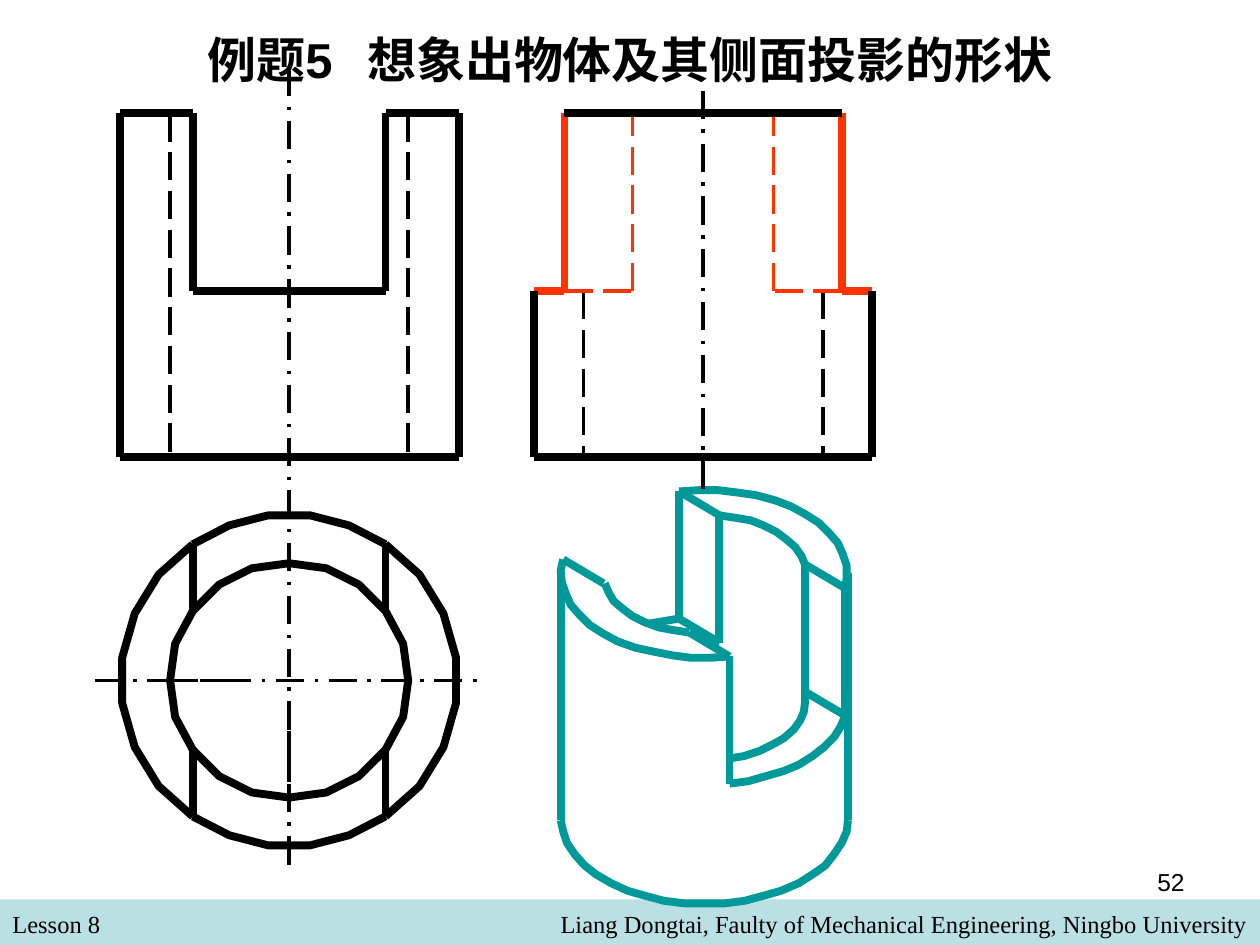
import dataclasses

import lxml.etree
import pptx
import pptx.dml.color
import pptx.enum.dml
import pptx.enum.shapes
import pptx.enum.text
import pptx.oxml.ns
import pptx.util

Cm = pptx.util.Cm
Align = pptx.enum.text.PP_ALIGN
Anchor = pptx.enum.text.MSO_ANCHOR
Dash = pptx.enum.dml.MSO_LINE


@dataclasses.dataclass(frozen=True)
class Theme:
    ink: str = "000000"
    red: str = "FF3300"
    teal: str = "009999"
    band: str = "BBE0E3"
    title_size: int = 28
    small_size: int = 14
    edge: float = 4.5
    hairline: float = 0
    sans: str = "Arial"
    serif: str = "Times New Roman"


def rgb(color):
    return pptx.dml.color.RGBColor.from_string(color)


def unit(value):
    """Drawing units are 2.54 cm long."""
    return Cm(value * 2.54)


class Drawing:
    def __init__(self, prs, theme):
        self.theme = theme
        self.s = prs.slides.add_slide(prs.slide_layouts[6])

    def band(self, x, y, w, h):
        sp = self.s.shapes.add_shape(pptx.enum.shapes.MSO_SHAPE.RECTANGLE,
                                     Cm(x), Cm(y), Cm(w), Cm(h))
        sp.shadow.inherit = False
        sp.fill.solid()
        sp.fill.fore_color.rgb = rgb(self.theme.band)
        sp.line.fill.background()

    def text(self, x, y, w, h, words, size, font, align=Align.LEFT,
             anchor=Anchor.TOP, bold=False):
        sp = self.s.shapes.add_textbox(Cm(x), Cm(y), Cm(w), Cm(h))
        tf = sp.text_frame
        tf.word_wrap = True
        tf.vertical_anchor = anchor
        p = tf.paragraphs[0]
        p.alignment = align
        p.font.size = pptx.util.Pt(size)
        p.font.name = font
        p.font.bold = bold
        p.font.color.rgb = rgb(self.theme.ink)
        for word in words:
            p.add_run().text = word
        return p

    def stroke(self, sp, color, width, dash=None):
        sp.line.color.rgb = rgb(color)
        sp.line.width = pptx.util.Pt(width)
        if dash:
            sp.line.dash_style = dash

    def line(self, x1, y1, x2, y2, color=None, dash=None):
        """A thick edge, or a hairline when a dash style is given."""
        sp = self.s.shapes.add_connector(
            pptx.enum.shapes.MSO_CONNECTOR.STRAIGHT,
            unit(x1), unit(y1), unit(x2), unit(y2))
        width = self.theme.hairline if dash else self.theme.edge
        self.stroke(sp, color or self.theme.ink, width, dash)
        lxml.etree.SubElement(sp._element.spPr,
                              pptx.oxml.ns.qn("a:effectLst"))

    def curve(self, points, color=None):
        points = [(unit(x), unit(y)) for x, y in points]
        builder = self.s.shapes.build_freeform(*points[0])
        builder.add_line_segments(points[1:], close=False)
        sp = builder.convert_to_shape()
        sp.shadow.inherit = False
        sp.fill.background()
        self.stroke(sp, color or self.theme.ink, self.theme.edge)


TOP, STEP, BASE = 0.9, 2.31, 3.63
FRONT_AXIS, SIDE_AXIS, PLAN_AXIS = 2.295, 5.58, 5.4

# Half or quarter outlines of the plan view; the rest follows by symmetry
OUTER_SIDE = [(3.62, 5.58), (3.52, 5.93), (3.33, 6.24), (3.06, 6.48)]
OUTER_END = [(2.46, 6.71), (2.77, 6.63), (3.06, 6.48)]
INNER_SIDE = [(3.24, 5.4), (3.2, 5.69), (3.06, 5.95)]
INNER_END = [(2.295, 6.33), (2.59, 6.29), (2.85, 6.16), (3.06, 5.95)]

SOLID_CURVES = [
    # bottom rim
    [(4.45, 6.51), (4.47, 6.6), (4.5, 6.69), (4.56, 6.78), (4.64, 6.87),
     (4.73, 6.94), (4.85, 7.01), (4.98, 7.07), (5.12, 7.11), (5.27, 7.15),
     (5.43, 7.17), (5.59, 7.17), (5.75, 7.17), (5.91, 7.15), (6.06, 7.11),
     (6.2, 7.07), (6.34, 7.01), (6.45, 6.94), (6.55, 6.87), (6.62, 6.78),
     (6.68, 6.69), (6.72, 6.6), (6.73, 6.51)],
    # top rim, back
    [(6.71, 4.67), (6.72, 4.58), (6.72, 4.49), (6.69, 4.4), (6.65, 4.31),
     (6.58, 4.23), (6.5, 4.15), (6.39, 4.08), (6.28, 4.02), (6.15, 3.97),
     (6, 3.93), (5.86, 3.91), (5.7, 3.89), (5.55, 3.89), (5.39, 3.9)],
    # slot floor, outer
    [(5.79, 6.22), (5.94, 6.2), (6.08, 6.16), (6.22, 6.12), (6.34, 6.07),
     (6.45, 6), (6.54, 5.93), (6.62, 5.85), (6.67, 5.77), (6.71, 5.68)],
    [(5.39, 4.91), (5.27, 4.93), (5.15, 4.95)],
    # top rim, front
    [(4.47, 4.44), (4.45, 4.53), (4.46, 4.62), (4.49, 4.71), (4.53, 4.8),
     (4.6, 4.88), (4.68, 4.96), (4.79, 5.03), (4.9, 5.09), (5.04, 5.14),
     (5.18, 5.17), (5.33, 5.2), (5.48, 5.22), (5.64, 5.22), (5.79, 5.21)],
    # bore, back
    [(6.39, 4.48), (6.36, 4.41), (6.31, 4.34), (6.24, 4.28), (6.16, 4.22),
     (6.06, 4.17), (5.96, 4.13), (5.84, 4.11), (5.71, 4.09)],
    # slot floor, bore
    [(5.79, 6.02), (5.91, 6), (6.03, 5.96), (6.13, 5.91), (6.22, 5.86),
     (6.3, 5.79), (6.35, 5.72), (6.38, 5.65), (6.39, 5.57), (6.39, 5.49)],
    # bore, front
    [(4.8, 4.63), (4.83, 4.7), (4.87, 4.77), (4.94, 4.83), (5.02, 4.89),
     (5.12, 4.94), (5.23, 4.98), (5.34, 5), (5.47, 5.02)],
]
SLOT_DEPTH = 1.01
SLOT_UPRIGHTS = [(6.71, 4.67), (5.39, 3.9), (5.79, 5.21), (6.39, 4.48),
                 (5.71, 4.09)]
RADIAL_EDGES = [(6.39, 4.48), (6.39, 5.49), (5.39, 3.9), (5.39, 4.91),
                (5.47, 5.02), (4.47, 4.44)]


def both_sides(axis, offset):
    return axis - offset, axis + offset


def flip_x(points):
    return [(2 * FRONT_AXIS - x, y) for x, y in points]


def flip_y(points):
    return [(x, 2 * PLAN_AXIS - y) for x, y in points]


def draw_solid(d):
    teal = d.theme.teal
    for points in SOLID_CURVES:
        d.curve(points, teal)
    for x, y in SLOT_UPRIGHTS:
        d.line(x, y, x, y + SLOT_DEPTH, teal)
    for x, y in RADIAL_EDGES:
        d.line(x, y, x + 0.32, y + 0.19, teal)
    d.line(5.59, 5.09, 5.71, 5.1, teal)
    for x in (4.45, 6.73):
        d.line(x, 4.55, x, 6.51, teal)


def draw_front(d):
    left, right = both_sides(FRONT_AXIS, 1.345)
    slot_left, slot_right = both_sides(FRONT_AXIS, 0.765)
    for x in both_sides(FRONT_AXIS, 0.945):
        d.line(x, TOP, x, BASE, dash=Dash.LONG_DASH)
    d.line(left, BASE, right, BASE)
    d.line(slot_left, STEP, slot_right, STEP)
    for outer, inner in ((left, slot_left), (right, slot_right)):
        d.line(outer, TOP, inner, TOP)
        d.line(inner, TOP, inner, STEP)
        d.line(outer, TOP, outer, BASE)
    d.line(FRONT_AXIS, 0.54, FRONT_AXIS, 3.85, dash=Dash.LONG_DASH_DOT)


def draw_plan(d):
    for side in (OUTER_SIDE, INNER_SIDE):
        half = flip_y(side)[::-1] + side
        d.curve(half)
        d.curve(flip_x(half))
    for end in (OUTER_END, INNER_END):
        half = flip_x(end)[::-1] + end
        d.curve(half)
        d.curve(flip_y(half))
    for x in both_sides(FRONT_AXIS, 0.765):
        for y in (4.32, 5.95):
            d.line(x, y, x, y + 0.53)
    for start, stop in ((0.75, 1.89), (1.35, 3.84)):
        d.line(start, PLAN_AXIS, stop, PLAN_AXIS, dash=Dash.LONG_DASH_DOT)
    for start, stop in ((5.8, 6.91), (3.89, 6.33)):
        d.line(FRONT_AXIS, start, FRONT_AXIS, stop, dash=Dash.LONG_DASH_DOT)


def draw_side(d):
    red = d.theme.red
    walls = both_sides(SIDE_AXIS, 1.1)
    outers = both_sides(SIDE_AXIS, 1.34)
    bores = both_sides(SIDE_AXIS, 0.56)
    d.line(SIDE_AXIS, 0.72, SIDE_AXIS, 3.89, dash=Dash.LONG_DASH_DOT)
    for x in both_sides(SIDE_AXIS, 0.95):
        d.line(x, STEP, x, BASE, dash=Dash.LONG_DASH)
    for wall, outer, bore in zip(walls, outers, bores):
        d.line(wall, STEP, bore, STEP, red, Dash.LONG_DASH)
        d.line(bore, STEP, bore, TOP, red, Dash.LONG_DASH)
        d.line(wall, STEP, outer, STEP, red)
        d.line(wall, TOP, wall, STEP, red)
        d.line(outer, STEP, outer, BASE)
    d.line(outers[0], BASE, outers[1], BASE)
    d.line(walls[0], TOP, walls[1], TOP)


def main():
    prs = pptx.Presentation()
    prs.slide_width, prs.slide_height = Cm(25.4), Cm(19.05)
    t = Theme()
    d = Drawing(prs, t)
    d.band(0, 18.13, 25.4, 0.92)
    d.text(0, 18.21, 12.27, 0.86, ["Lesson 8"], t.small_size, t.serif)
    d.text(4.65, 18.21, 20.75, 0.86,
           ["Liang Dongtai, Faulty of Mechanical Engineering, "
            "Ningbo University"], t.small_size, t.serif, Align.RIGHT)
    p = d.text(1.9, 0.1, 21.6, 2.18,
               ["例题5", " ", "想象出物体及其侧面投影的形状"],
               t.title_size, t.sans, Align.CENTER, Anchor.MIDDLE, True)
    # The gap after the number is one widened space
    p.runs[1]._r.get_or_add_rPr().set("spc", "1200")
    draw_solid(d)
    draw_front(d)
    draw_plan(d)
    draw_side(d)
    d.text(18.21, 17.35, 5.92, 1.32, ["52"], t.small_size, t.sans,
           Align.RIGHT)
    prs.save("out.pptx")


if __name__ == "__main__":
    main()
